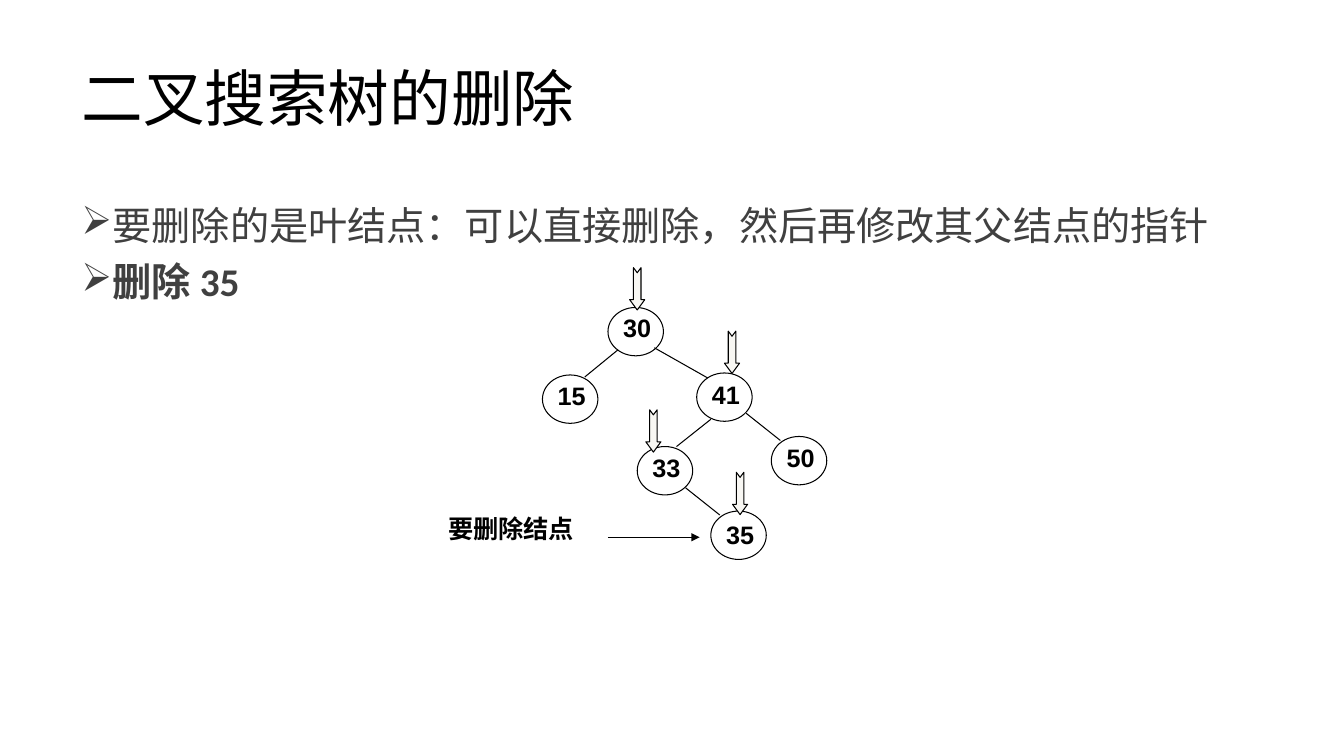
import pptx
import pptx.util
import pptx.dml.color
import pptx.enum.shapes
import pptx.enum.text
import pptx.oxml
import pptx.oxml.ns
from lxml import etree

Inches = pptx.util.Inches
Pt = pptx.util.Pt
RGBColor = pptx.dml.color.RGBColor
MSO_SHAPE = pptx.enum.shapes.MSO_SHAPE
PP_ALIGN = pptx.enum.text.PP_ALIGN
MSO_ANCHOR = pptx.enum.text.MSO_ANCHOR
qn = pptx.oxml.ns.qn

BLACK = RGBColor(0, 0, 0)
WHITE = RGBColor(255, 255, 255)
GRAY = RGBColor(0x40, 0x40, 0x40)
CREAM = RGBColor(0xF8, 0xF7, 0xF3)
CJK = "Noto Sans CJK SC"

prs = pptx.Presentation()
prs.slide_width, prs.slide_height = Inches(13.33), Inches(7.5)
s = prs.slides.add_slide(prs.slide_layouts[6])


def add_text(box, lines, size, color, align=PP_ALIGN.LEFT, spacing=1.0, inset=0.0):
    tf = s.shapes.add_textbox(*[Inches(v) for v in box]).text_frame
    tf.word_wrap = True
    tf.margin_left = tf.margin_right = Inches(inset)
    tf.margin_top = tf.margin_bottom = Inches(inset / 2)
    for i, (text, font, bold) in enumerate(lines):
        p = tf.paragraphs[0] if i == 0 else tf.add_paragraph()
        r = p.add_run()
        r.text = text
        p.alignment, p.line_spacing = align, spacing
        for f in (p.font, r.font):
            f.size, f.name, f.bold = Pt(size), font, bold
            f.color.rgb = color
        ea = etree.SubElement(r.font._element, qn("a:ea"))
        ea.set("typeface", CJK)
    return tf


def add_line(x1, y1, x2, y2):
    c = s.shapes.add_connector(pptx.enum.shapes.MSO_CONNECTOR.STRAIGHT,
                               Inches(x1), Inches(y1), Inches(x2), Inches(y2))
    c.line.color.rgb, c.line.width = BLACK, Pt(0.75)
    etree.SubElement(c._element.spPr, qn("a:effectLst"))
    return c


title = add_text((0.71, 0.28, 11.5, 1.45), [("二叉搜索树的删除", "Arial", False)],
                 44, BLACK, spacing=0.9, inset=0.1)
title.vertical_anchor = MSO_ANCHOR.MIDDLE

body = add_text((0.71, 2, 11.5, 4.76),
                [("要删除的是叶结点：可以直接删除，然后再修改其父结点的指针", CJK, False),
                 ("删除 35", "Calibri", True)],
                28, GRAY, spacing=0.9, inset=0.1)
for p in body.paragraphs:
    p.space_before = Pt(10)
    pPr = p._p.get_or_add_pPr()
    pPr.set("marL", str(Inches(0.25)))
    pPr.set("indent", str(Inches(-0.25)))
    bullet = pptx.oxml.parse_xml(
        '<a:buChar xmlns:a="http://schemas.openxmlformats.org/drawingml/2006/main" char="➢"/>')
    pPr.find(qn("a:spcBef")).addnext(bullet)

nodes = [("30", 6.03, 3.05, 0.07), ("15", 5.38, 3.72, 0.07), ("41", 6.91, 3.7, 0.08),
         ("33", 6.32, 4.43, 0.08), ("50", 7.65, 4.33, 0.08), ("35", 7.05, 5.07, 0.1)]
for key, x, y, drop in nodes:
    sp = s.shapes.add_shape(MSO_SHAPE.OVAL, Inches(x), Inches(y), Inches(0.55), Inches(0.48))
    sp.shadow.inherit = False
    sp.fill.solid()
    sp.fill.fore_color.rgb = WHITE
    sp.line.color.rgb, sp.line.width = BLACK, Pt(0.75)
    add_text((x + 0.14, y + drop, 0.3, 0.28), [(key, "Arial", True)],
             18, BLACK, PP_ALIGN.CENTER, 0.96)

edges = [(6.49, 3.45, 7.02, 3.75), (6.13, 3.47, 5.8, 3.74), (7.05, 4.16, 6.71, 4.43),
         (7.4, 4.1, 7.74, 4.37), (6.8, 4.84, 7.14, 5.11)]
for edge in edges:
    add_line(*edge)

add_text((4.14, 5.09, 1.86, 0.53), [("要删除结点", CJK, True)], 18, BLACK, PP_ALIGN.CENTER)
pointer = add_line(6.03, 5.33, 6.94, 5.33)
etree.SubElement(pointer.line._get_or_add_ln(), qn("a:tailEnd")).set("type", "triangle")

for x, y in [(6.11, 2.79), (7.05, 3.42), (6.27, 4.2), (7.13, 4.82)]:
    sp = s.shapes.add_shape(MSO_SHAPE.NOTCHED_RIGHT_ARROW,
                            Inches(x), Inches(y), Inches(0.42), Inches(0.15))
    sp.rotation = 90
    sp.adjustments[0], sp.adjustments[1] = 0.5, 0.68
    sp.shadow.inherit = False
    sp.fill.solid()
    sp.fill.fore_color.rgb = CREAM
    sp.line.color.rgb, sp.line.width = BLACK, Pt(0.75)

prs.save("out.pptx")
